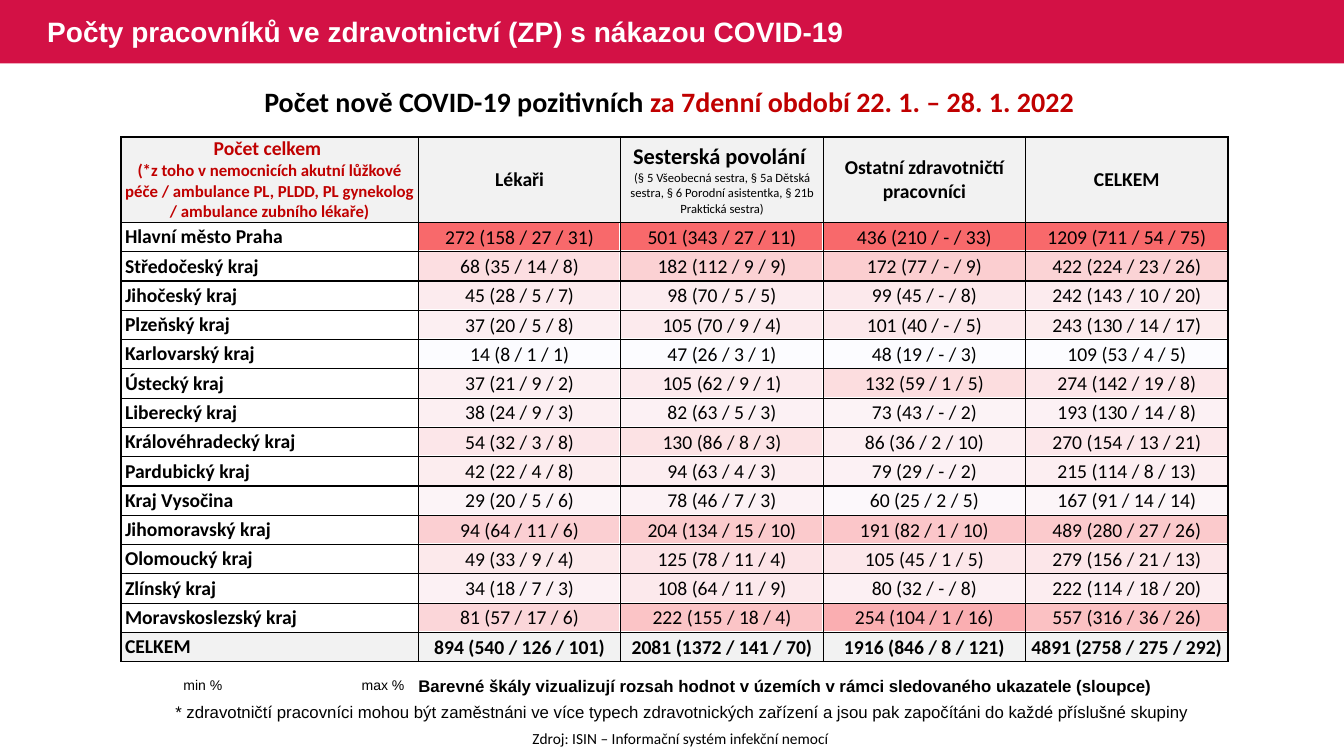
from math import ceil
from pptx import Presentation
from pptx.dml.color import RGBColor
from pptx.enum import shapes, text
from pptx.oxml import parse_xml
from pptx.oxml.ns import nsdecls
from pptx.util import Inches, Pt

CENTER, LEFT = text.PP_ALIGN.CENTER, text.PP_ALIGN.LEFT
MIDDLE = text.MSO_ANCHOR.MIDDLE


def rgb(code):
    return RGBColor.from_string(code)


def write(frame, lines, align=LEFT, font="Calibri"):
    """Fill a text frame; each line is (text, size, bold, colour)."""
    frame.word_wrap = True
    for i, (words, size, bold, colour) in enumerate(lines):
        line = frame.add_paragraph() if i else frame.paragraphs[0]
        line.text = words
        line.alignment = align
        line.font.name, line.font.size = font, Pt(size)
        line.font.bold, line.font.color.rgb = bold, rgb(colour)


prs = Presentation()
prs.slide_width, prs.slide_height = Inches(13.33), Inches(7.5)
slide = prs.slides.add_slide(prs.slide_layouts[6])

# Title banner
banner = slide.shapes.add_shape(shapes.MSO_SHAPE.RECTANGLE, 0, 0, prs.slide_width, Inches(0.63))
banner.shadow.inherit = False
banner.fill.solid()
banner.fill.fore_color.rgb = rgb("D31145")
banner.line.fill.background()

# Table contents
header = [
    [("Počet celkem ", 14, True, "C00000"),
     ("(*z toho v nemocnicích akutní lůžkové péče / ambulance PL, PLDD, PL gynekolog "
      "/ ambulance zubního lékaře)", 12, True, "C00000")],
    [("Lékaři", 14, True, "000000")],
    [("Sesterská povolání ", 16, True, "000000"),
     ("(§ 5 Všeobecná sestra, § 5a Dětská sestra, § 6 Porodní asistentka, "
      "§ 21b Praktická sestra)", 9, False, "000000")],
    [("Ostatní zdravotničtí pracovníci", 14, True, "000000")],
    [("CELKEM", 14, True, "000000")],
]
regions = [
    ("Hlavní město Praha", "272 (158 / 27 / 31)", "501 (343 / 27 / 11)", "436 (210 / - / 33)", "1209 (711 / 54 / 75)"),
    ("Středočeský kraj", "68 (35 / 14 / 8)", "182 (112 / 9 / 9)", "172 (77 / - / 9)", "422 (224 / 23 / 26)"),
    ("Jihočeský kraj", "45 (28 / 5 / 7)", "98 (70 / 5 / 5)", "99 (45 / - / 8)", "242 (143 / 10 / 20)"),
    ("Plzeňský kraj", "37 (20 / 5 / 8)", "105 (70 / 9 / 4)", "101 (40 / - / 5)", "243 (130 / 14 / 17)"),
    ("Karlovarský kraj", "14 (8 / 1 / 1)", "47 (26 / 3 / 1)", "48 (19 / - / 3)", "109 (53 / 4 / 5)"),
    ("Ústecký kraj", "37 (21 / 9 / 2)", "105 (62 / 9 / 1)", "132 (59 / 1 / 5)", "274 (142 / 19 / 8)"),
    ("Liberecký kraj", "38 (24 / 9 / 3)", "82 (63 / 5 / 3)", "73 (43 / - / 2)", "193 (130 / 14 / 8)"),
    ("Královéhradecký kraj", "54 (32 / 3 / 8)", "130 (86 / 8 / 3)", "86 (36 / 2 / 10)", "270 (154 / 13 / 21)"),
    ("Pardubický kraj", "42 (22 / 4 / 8)", "94 (63 / 4 / 3)", "79 (29 / - / 2)", "215 (114 / 8 / 13)"),
    ("Kraj Vysočina", "29 (20 / 5 / 6)", "78 (46 / 7 / 3)", "60 (25 / 2 / 5)", "167 (91 / 14 / 14)"),
    ("Jihomoravský kraj", "94 (64 / 11 / 6)", "204 (134 / 15 / 10)", "191 (82 / 1 / 10)", "489 (280 / 27 / 26)"),
    ("Olomoucký kraj", "49 (33 / 9 / 4)", "125 (78 / 11 / 4)", "105 (45 / 1 / 5)", "279 (156 / 21 / 13)"),
    ("Zlínský kraj", "34 (18 / 7 / 3)", "108 (64 / 11 / 9)", "80 (32 / - / 8)", "222 (114 / 18 / 20)"),
    ("Moravskoslezský kraj", "81 (57 / 17 / 6)", "222 (155 / 18 / 4)", "254 (104 / 1 / 16)", "557 (316 / 36 / 26)"),
]
total = ("CELKEM", "894 (540 / 126 / 101)", "2081 (1372 / 141 / 70)", "1916 (846 / 8 / 121)",
         "4891 (2758 / 275 / 292)")
rows = [header, *regions, total]
last = len(rows) - 1
row_height = Inches(4.36 / last)

# Colour scale table behind the figures, from lowest to highest count per column
shades = slide.shapes.add_table(last, 4, Inches(4.14), Inches(2.2), Inches(8.04), Inches(4.36)).table
shades.first_row = shades.horz_banding = False
for row in shades.rows:
    row.height = row_height
for c, column in enumerate(shades.columns):
    column.width = Inches(2.01)
    counts = [int(region[c + 1].split()[0]) for region in regions]
    for r in range(last):
        cell = shades.cell(r, c)
        cell.margin_top = cell.margin_bottom = 0
        cell.text_frame.paragraphs[0]._p.get_or_add_endParaRPr().set("sz", "1000")
        if r == len(regions):
            cell.fill.background()
            continue
        share = (counts[r] - min(counts)) / (max(counts) - min(counts))
        cell.fill.solid()
        cell.fill.fore_color.rgb = rgb("".join(
            f"{ceil(low - (low - high) * share):02X}"
            for low, high in ((0xFC, 0xF8), (0xFC, 0x69), (0xFF, 0x6B))))

# Figures table
figures = slide.shapes.add_table(len(rows), 5, Inches(1.2), Inches(1.36), Inches(10.98), Inches(5.2)).table
figures.first_row = figures.horz_banding = False
for c, column in enumerate(figures.columns):
    column.width = Inches((10.98 - 2.95) / 4 if c else 2.95)
for r, row in enumerate(rows):
    figures.rows[r].height = row_height if r else Inches(0.84)
    for c, content in enumerate(row):
        cell = figures.cell(r, c)
        is_count = c > 0 and r > 0
        cell.vertical_anchor = MIDDLE
        cell.margin_left = cell.margin_right = Inches(0.01 if is_count else 0.04)
        cell.margin_top = Inches(0.01 if is_count else 0)
        cell.margin_bottom = 0
        lines = content if r == 0 else [(content, 14, c == 0 or r == last, "000000")]
        write(cell.text_frame, lines, CENTER if c or r == 0 else LEFT)
        for side in ("lnL", "lnR", "lnT", "lnB"):
            cell._tc.get_or_add_tcPr().append(parse_xml(
                f'<a:{side} {nsdecls("a")} w="12700"><a:solidFill><a:srgbClr val="000000"/>'
                f'</a:solidFill></a:{side}>'))
        if r in (0, last):
            cell.fill.solid()
            cell.fill.fore_color.rgb = rgb("F2F2F2")
        else:
            cell.fill.background()

# Title, source and notes: place, alignment, font, line
captions = [
    ((0.37, 0, 8.6, 0.63), LEFT, "Arial",
     ("Počty pracovníků ve zdravotnictví (ZP) s nákazou COVID-19", 20, True, "FFFFFF")),
    ((4.05, 6.65, 7.72, 0.3), LEFT, "Arial",
     ("Barevné škály vizualizují rozsah hodnot v územích v rámci sledovaného ukazatele (sloupce)",
      12, True, "000000")),
    ((1.64, 6.91, 10.26, 0.3), LEFT, "Arial",
     ("* zdravotničtí pracovníci mohou být zaměstnáni ve více typech zdravotnických zařízení "
      "a jsou pak započítáni do každé příslušné skupiny", 12, False, "000000")),
    ((3.27, 7.18, 6.96, 0.29), CENTER, "Calibri",
     ("Zdroj: ISIN – Informační systém infekční nemocí", 11, False, "000000")),
]
for place, align, font, line in captions:
    caption = slide.shapes.add_textbox(*map(Inches, place)).text_frame
    caption.vertical_anchor = MIDDLE
    write(caption, [line], align, font)

# Subtitle with the period in red
subtitle = slide.shapes.add_textbox(Inches(0.67), Inches(0.79), Inches(12), Inches(0.44)).text_frame
write(subtitle, [("Počet nově COVID-19 pozitivních ", 20, True, "000000")], CENTER)
period = subtitle.paragraphs[0].add_run()
period.text = "za 7denní období 22. 1. – 28. 1. 2022 "
period.font.color.rgb = rgb("C00000")

# Scale labels, the second one on a right tab
scale = slide.shapes.add_textbox(Inches(1.74), Inches(6.71), Inches(2.34), Inches(0.17)).text_frame
scale.margin_left = Inches(0.08)
scale.margin_right = scale.margin_top = scale.margin_bottom = 0
scale.paragraphs[0]._p.get_or_add_pPr().append(parse_xml(
    f'<a:tabLst {nsdecls("a")}><a:tab pos="{Inches(2.19)}" algn="r"/></a:tabLst>'))
write(scale, [("min %\tmax %", 10, False, "000000")], LEFT, "Arial")

prs.save("out.pptx")
